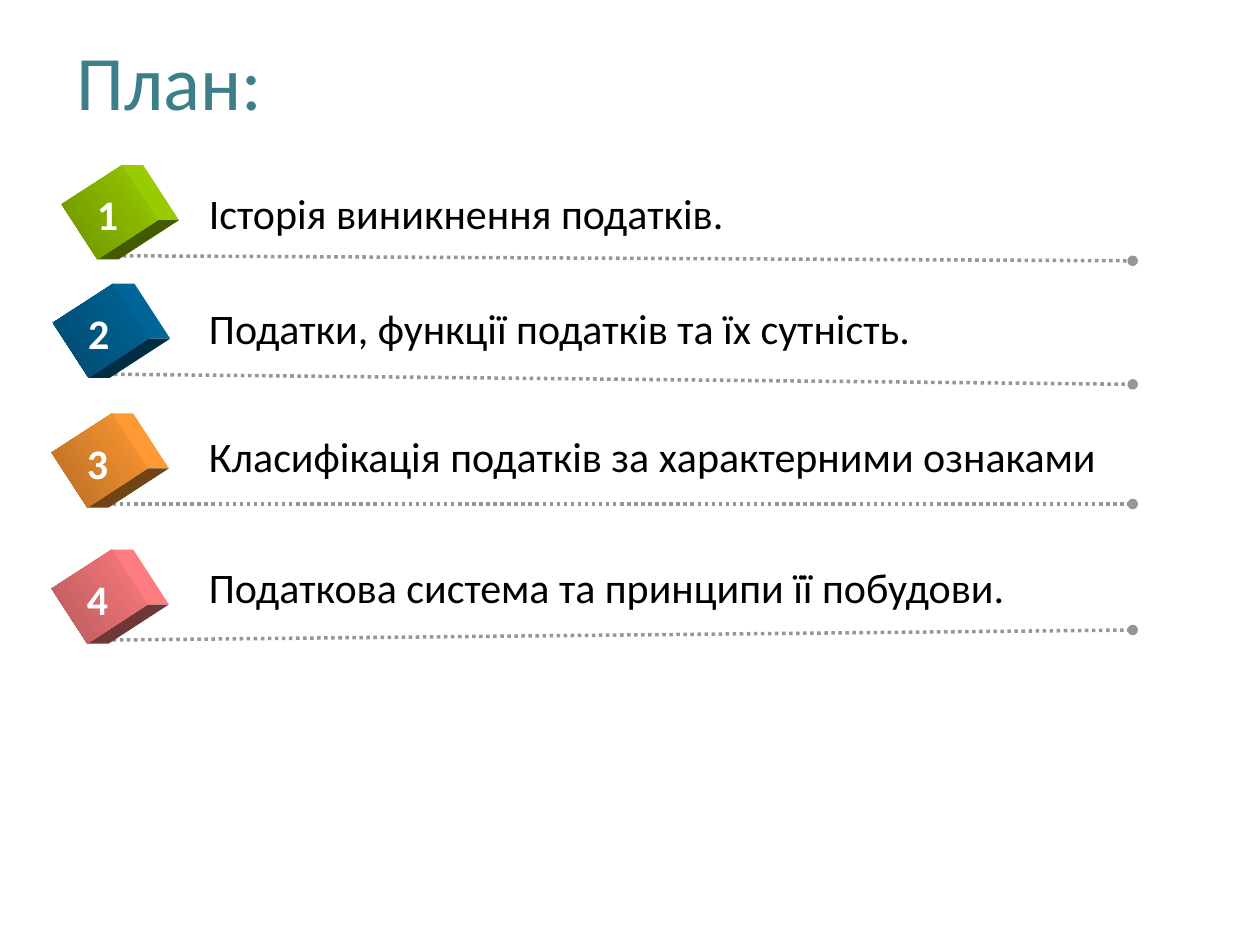
from math import cos, radians, sin

from lxml.etree import SubElement
from pptx import Presentation
from pptx.dml.color import RGBColor
from pptx.enum.dml import MSO_LINE
from pptx.enum.shapes import MSO_CONNECTOR, MSO_SHAPE
from pptx.enum.text import MSO_ANCHOR, MSO_AUTO_SIZE
from pptx.oxml.ns import qn
from pptx.util import Inches, Pt

TEAL = RGBColor(0x3C, 0x7F, 0x88)
BLACK = RGBColor(0, 0, 0)
WHITE = RGBColor(0xFF, 0xFF, 0xFF)
GRAY = RGBColor(0x96, 0x96, 0x96)
GREEN = RGBColor(0x99, 0xCC, 0x00), RGBColor(0x6D, 0x92, 0x00), RGBColor(0x44, 0x5A, 0x00)
BLUE = RGBColor(0x00, 0x66, 0x99), RGBColor(0x00, 0x49, 0x6D), RGBColor(0x00, 0x2D, 0x44)
ORANGE = RGBColor(0xFF, 0x99, 0x33), RGBColor(0xB6, 0x6D, 0x24), RGBColor(0x70, 0x44, 0x17)
PINK = RGBColor(0xFF, 0x7C, 0x80), RGBColor(0xB6, 0x59, 0x5C), RGBColor(0x70, 0x37, 0x39)


class PlanSlide:
    """Draws the elements of a plan slide in one style."""

    font = "Calibri"
    cube_width, cube_height, cube_angle = 0.52, 0.57, 57
    cube_depth = 0.17

    def __init__(self, prs):
        self.shapes = prs.slides.add_slide(prs.slide_layouts[6]).shapes

    def text(self, text, left, top, width, height, color, size=24, bold=False):
        box = self.shapes.add_textbox(Inches(left), Inches(top), Inches(width), Inches(height))
        tf = box.text_frame
        tf.word_wrap = False
        tf.auto_size = MSO_AUTO_SIZE.SHAPE_TO_FIT_TEXT
        p = tf.paragraphs[0]
        p.text = text
        p.font.name = self.font
        p.font.size = Pt(size)
        p.font.bold = bold
        p.font.color.rgb = color
        return tf

    def title(self, text):
        tf = self.text(text, 0.51, 0.18, 7.57, 1, TEAL, 44)
        tf.word_wrap = True
        tf.auto_size = MSO_AUTO_SIZE.NONE
        tf.vertical_anchor = MSO_ANCHOR.MIDDLE
        tf.paragraphs[0].line_spacing = 0.9

    def dotted_line(self, x1, y1, x2, y2):
        line = self.shapes.add_connector(
            MSO_CONNECTOR.STRAIGHT, Inches(x1), Inches(y1), Inches(x2), Inches(y2))
        line.line.color.rgb = GRAY
        line.line.width = Pt(2)
        line.line.dash_style = MSO_LINE.ROUND_DOT
        SubElement(line.line._get_or_add_ln(), qn("a:tailEnd"), type="oval")
        SubElement(line._element.spPr, qn("a:effectLst"))

    def face(self, points, color):
        points = [(Inches(x), Inches(y)) for x, y in points]
        builder = self.shapes.build_freeform(*points[0])
        builder.add_line_segments(points[1:])
        sp = builder.convert_to_shape()
        sp.shadow.inherit = False
        sp.fill.solid()
        sp.fill.fore_color.rgb = color
        sp.line.fill.background()

    def cube(self, left, top, colors):
        light, middle, dark = colors
        w, h = self.cube_width, self.cube_height
        c, s = cos(radians(self.cube_angle)), sin(radians(self.cube_angle))
        cx, cy = left + w / 2, top + h / 2
        upper, right, lower = [
            (cx + (i * w * c - j * h * s) / 2, cy + (i * w * s + j * h * c) / 2)
            for i, j in ((-1, -1), (1, -1), (1, 1))]
        for (start, end), color in (((upper, right), light), ((right, lower), dark)):
            back = [(x + self.cube_depth, y) for x, y in (end, start)]
            self.face([start, end] + back, color)
        sp = self.shapes.add_shape(
            MSO_SHAPE.RECTANGLE, Inches(left), Inches(top), Inches(w), Inches(h))
        sp.rotation = self.cube_angle
        sp.shadow.inherit = False
        sp.line.fill.background()
        sp.fill.gradient()
        sp.fill.gradient_angle = 270
        for stop, color in zip(sp.fill.gradient_stops, (light, middle)):
            stop.color.rgb = color

    def item(self, number, text, text_top, text_width, left, top, line_end, colors):
        self.dotted_line(left + 0.31, top + 0.63, 8.99, line_end)
        self.cube(left, top, colors)
        self.text(text, 1.56, text_top, text_width, 0.51, BLACK)
        self.text(str(number), left + 0.06, top + 0.05, 0.39, 0.5, WHITE, bold=True)


prs = Presentation()
prs.slide_width, prs.slide_height = Inches(10), Inches(7.5)
slide = PlanSlide(prs)
slide.title("План:")
items = (
    ("Історія виникнення податків.", 1.44, 4.33, 0.61, 1.4, 2.07, GREEN),
    ("Податки, функції податків та їх сутність.", 2.35, 5.81, 0.54, 2.34, 3.05, BLUE),
    ("Класифікація податків за характерними ознаками", 3.37, 7.31, 0.53, 3.37, 4, ORANGE),
    ("Податкова система та принципи її побудови.", 4.41, 6.57, 0.53, 4.45, 5, PINK),
)
for number, item in enumerate(items, 1):
    slide.item(number, *item)
prs.save("out.pptx")
